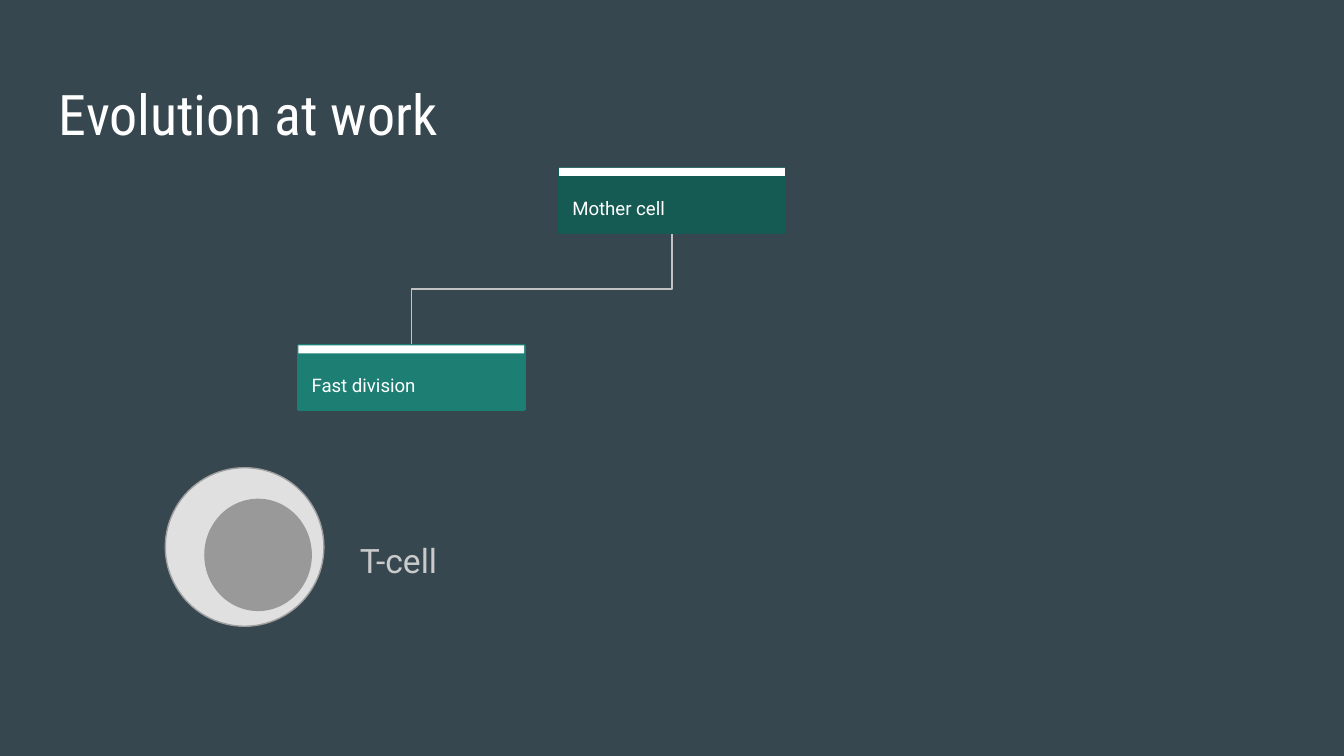
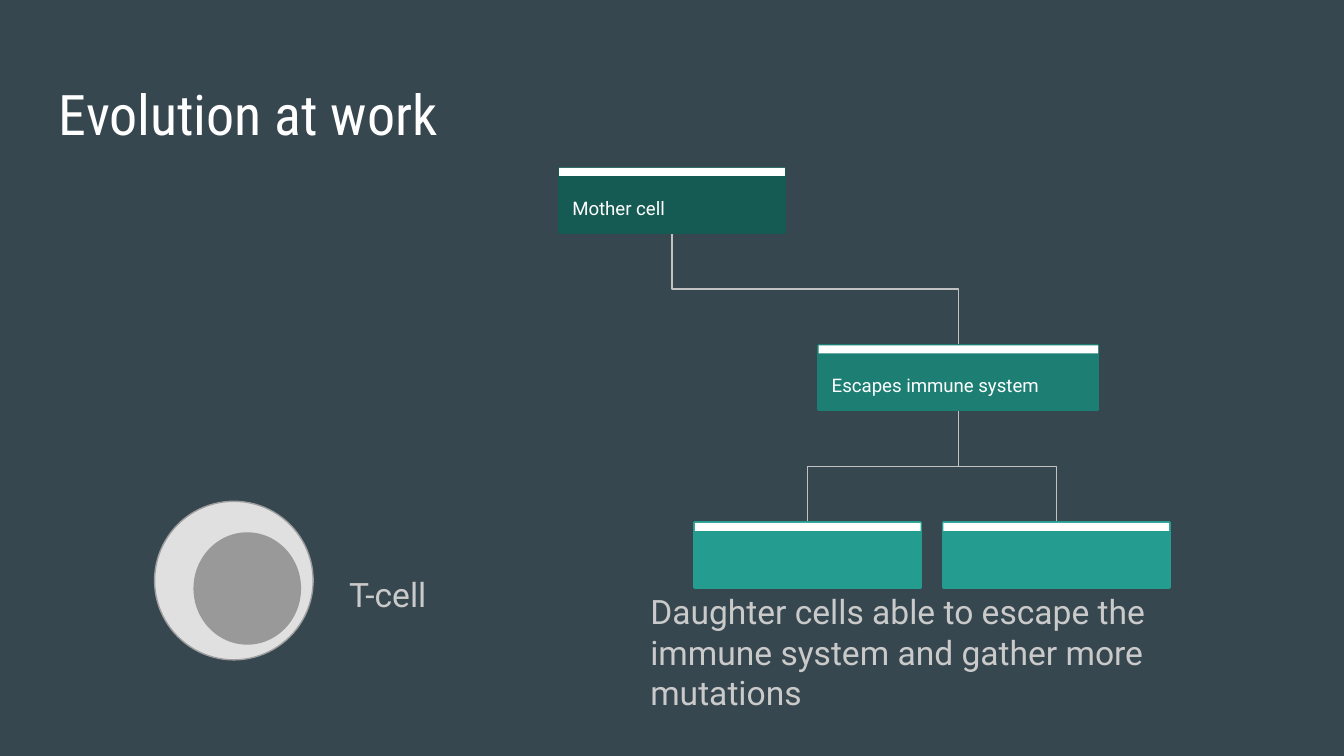
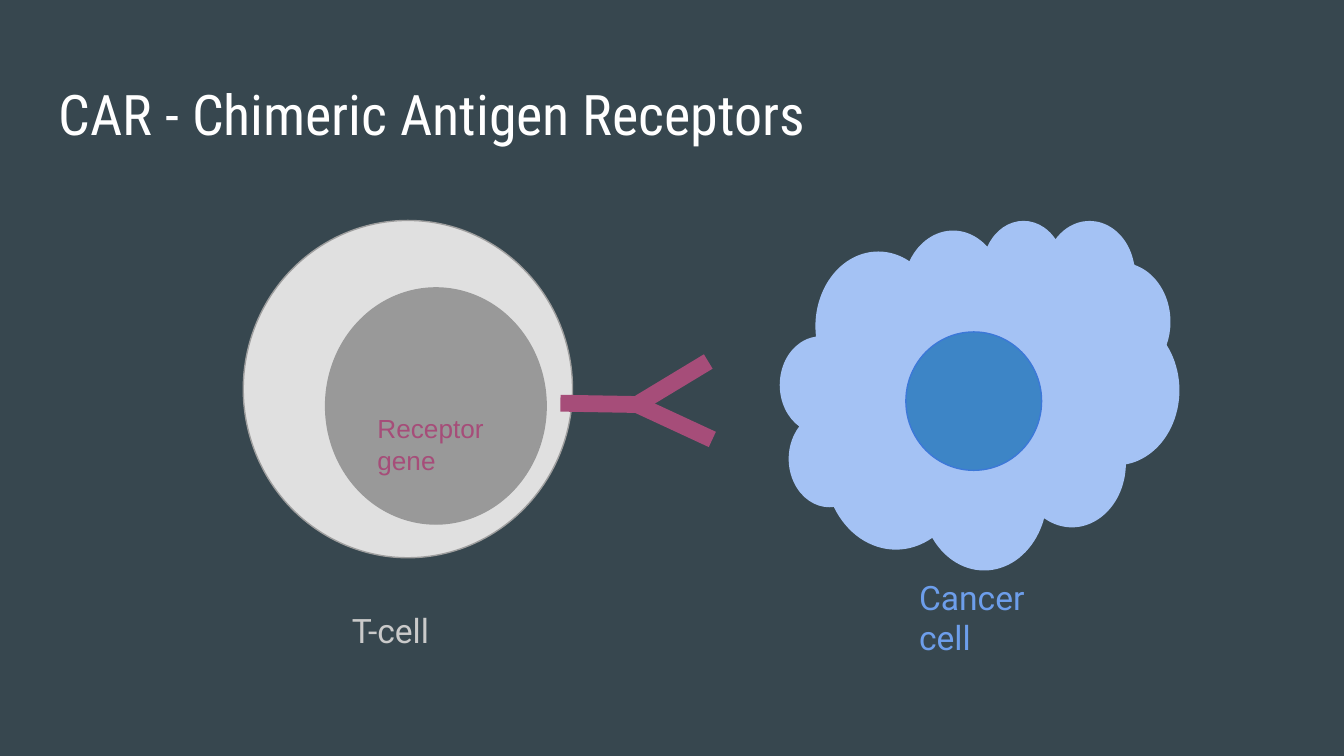
from lxml import etree
from pptx import Presentation
from pptx.dml.color import RGBColor
from pptx.enum.shapes import MSO_CONNECTOR, MSO_SHAPE
from pptx.enum.text import MSO_ANCHOR, PP_ALIGN
from pptx.oxml.ns import qn
from pptx.util import Inches, Pt

RECT, OVAL, CLOUD = MSO_SHAPE.RECTANGLE, MSO_SHAPE.OVAL, MSO_SHAPE.CLOUD
STRAIGHT, ELBOW = MSO_CONNECTOR.STRAIGHT, MSO_CONNECTOR.ELBOW
TOP, BOTTOM = MSO_ANCHOR.TOP, MSO_ANCHOR.BOTTOM

BACKGROUND, WHITE, GREY, LINK = "37474F", "FFFFFF", "CACACA", "C2C2C2"
LEVEL_FILLS = ["155B54", "1D7E74", "249C90"]
CELL_FILL, CELL_LINE, NUCLEUS = "E0E0E0", "9E9E9E", "999999"
CANCER_FILL, CANCER_NUCLEUS, CANCER_RING, CANCER_TEXT = "A4C2F4", "3D85C6", "3C78D8", "6D9EEB"
RECEPTOR = "A64D79"

WIDTH = 10
HEIGHT = WIDTH * 9 / 16
TREE_TOP, LEVEL_STEP = 1.25, 1.32
NODE_W, NODE_H, STRIPE_H = 1.68, 0.48, 0.06
LABEL_W, LABEL_H = 1.4, 0.8
NUCLEUS_SHARES = (0.25, 0.2, 0.67, 0.7)

MOTHER = {"text": "Mother cell", "level": 0, "x": 4.16, "w": NODE_W}
TREES = [
    {
        "title": "Evolution at work",
        "nodes": [MOTHER, {"text": "Fast division", "level": 1, "x": 2.22, "w": NODE_W}],
        "links": [(0, 1)],
        "cell": (1.23, 3.48),
        "caption": None,
    },
    {
        "title": "Evolution at work",
        "nodes": [
            MOTHER,
            {"text": "Escapes immune system", "level": 1, "x": 6.09, "w": 2.08},
            {"text": "", "level": 2, "x": 7.02, "w": NODE_W},
            {"text": "", "level": 2, "x": 5.17, "w": NODE_W},
        ],
        "links": [(0, 1), (1, 2), (1, 3)],
        "cell": (1.15, 3.73),
        "caption": "Daughter cells able to escape the immune system and gather more mutations",
    },
]
CAR_TITLE = "CAR - Chimeric Antigen Receptors"
RECEPTOR_JOINT = (4.74, 3.01)
RECEPTOR_TIPS = [(5.27, 2.69), (4.17, 3), (5.3, 3.27)]


def rgb(value):
    """Turn a hex string into a colour."""
    return RGBColor.from_string(value)


def write(shape, text, size=18, font="Roboto", color=GREY, anchor=BOTTOM):
    """Put formatted, wrapped text into a shape."""
    tf = shape.text_frame
    tf.word_wrap = True
    tf.vertical_anchor = anchor
    tf.margin_left = tf.margin_right = tf.margin_top = tf.margin_bottom = Inches(0.1)
    p = tf.paragraphs[0]
    p.alignment = PP_ALIGN.LEFT
    r = p.add_run()
    r.text = text
    r.font.size, r.font.name = Pt(size), font
    r.font.color.rgb = rgb(color)


def add_text(s, box, text, **style):
    """Add a text box."""
    write(s.shapes.add_textbox(*map(Inches, box)), text, **style)


def add_shape(parent, kind, box, fill, line=None, width=0.75):
    """Add a flat shape to a slide or a group."""
    sp = parent.shapes.add_shape(kind, *map(Inches, box))
    sp.shadow.inherit = False
    sp.fill.solid()
    sp.fill.fore_color.rgb = rgb(fill)
    if line:
        sp.line.color.rgb = rgb(line)
        sp.line.width = Pt(width)
    else:
        sp.line.fill.background()
    return sp


def add_line(parent, kind, start, end, color, width):
    """Add a connector without a shadow."""
    line = parent.shapes.add_connector(kind, *map(Inches, (*start, *end)))
    line.line.color.rgb = rgb(color)
    line.line.width = Pt(width)
    etree.SubElement(line._element.spPr, qn("a:effectLst"))
    return line


def node_top(node):
    """Give the top of a node from its level."""
    return TREE_TOP + node["level"] * LEVEL_STEP


def add_link(s, parent, child):
    """Join a parent's bottom to a child's top with a bend halfway down."""
    x1, x2 = (n["x"] + n["w"] / 2 for n in (parent, child))
    y1, y2 = node_top(parent) + NODE_H, node_top(child)
    cx, cy = (x1 + x2) / 2, (y1 + y2) / 2
    half_w = (y2 - y1) / 2 * (-1 if x2 > x1 else 1)
    half_h = abs(x2 - x1) / 2
    line = add_line(s, ELBOW, (cx - half_w, cy - half_h), (cx + half_w, cy + half_h), LINK, 0.75)
    line._element.spPr.find(qn("a:xfrm")).set("rot", str(270 * 60000))


def add_node(s, node):
    """Add a tree box with its white stripe."""
    group = s.shapes.add_group_shape()
    x, y, w, fill = node["x"], node_top(node), node["w"], LEVEL_FILLS[node["level"]]
    sp = add_shape(group, RECT, (x, y, w, NODE_H), fill, fill, 1.5)
    if node["text"]:
        write(sp, node["text"], size=10, color=WHITE)
    add_shape(group, RECT, (x, y, w, STRIPE_H), WHITE)


def add_cell(s, x, y, w, h):
    """Add a T-cell with its nucleus."""
    group = s.shapes.add_group_shape()
    dx, dy, nw, nh = NUCLEUS_SHARES
    add_shape(group, OVAL, (x, y, w, h), CELL_FILL, CELL_LINE)
    add_shape(group, OVAL, (x + dx * w, y + dy * h, nw * w, nh * h), NUCLEUS, NUCLEUS)


def add_slide(prs, title):
    """Add a blank slide with a title."""
    s = prs.slides.add_slide(prs.slide_layouts[6])
    add_text(s, (0.34, 0.49, 9.32, 0.63), title, size=30, font="Roboto Condensed",
             color=WHITE, anchor=TOP)
    return s


def build_tree(prs, tree):
    """Build a slide with a cell lineage and a T-cell."""
    s = add_slide(prs, tree["title"])
    nodes = tree["nodes"]
    for parent, child in tree["links"]:
        add_link(s, nodes[parent], nodes[child])
    for node in nodes:
        add_node(s, node)
    if tree["caption"]:
        add_text(s, (4.74, 4.6, 4.72, LABEL_H), tree["caption"])
    x, y = tree["cell"]
    add_cell(s, x, y, 1.18, 1.18)
    add_text(s, (x + 1.35, y + 0.14, LABEL_W, LABEL_H), "T-cell")


def build_car(prs):
    """Build the slide where a T-cell receptor meets a cancer cell."""
    s = add_slide(prs, CAR_TITLE)
    add_cell(s, 1.81, 1.64, 2.45, 2.51)
    add_text(s, (2.52, 4.14, LABEL_W, LABEL_H), "T-cell")
    add_shape(s, CLOUD, (5.81, 1.64, 2.96, 2.59), CANCER_FILL, CANCER_FILL)
    add_shape(s, OVAL, (6.74, 2.47, 1.01, 1.03), CANCER_NUCLEUS, CANCER_RING)
    add_text(s, (6.74, 4.19, LABEL_W, LABEL_H), "Cancer cell", color=CANCER_TEXT)
    group = s.shapes.add_group_shape()
    for tip in RECEPTOR_TIPS:
        add_line(group, STRAIGHT, tip, RECEPTOR_JOINT, RECEPTOR, 9)
    add_text(s, (2.71, 2.97, 1.12, 0.53), "Receptor gene", size=14, font="Arial",
             color=RECEPTOR, anchor=TOP)


def main():
    """Build and save the presentation."""
    prs = Presentation()
    prs.slide_width, prs.slide_height = Inches(WIDTH), Inches(HEIGHT)
    fill = prs.slide_master.background.fill
    fill.solid()
    fill.fore_color.rgb = rgb(BACKGROUND)
    for tree in TREES:
        build_tree(prs, tree)
    build_car(prs)
    prs.save("out.pptx")


if __name__ == "__main__":
    main()
